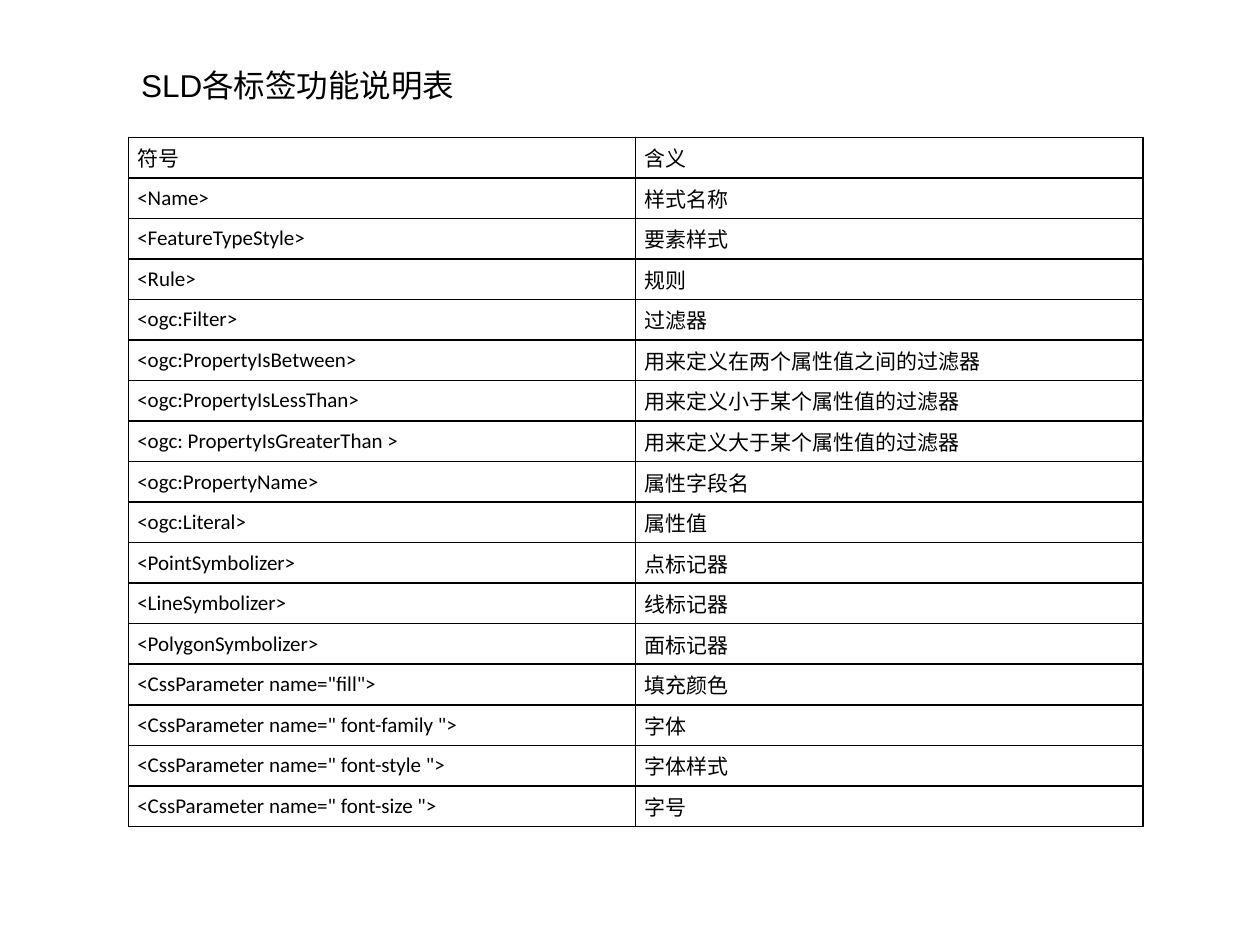
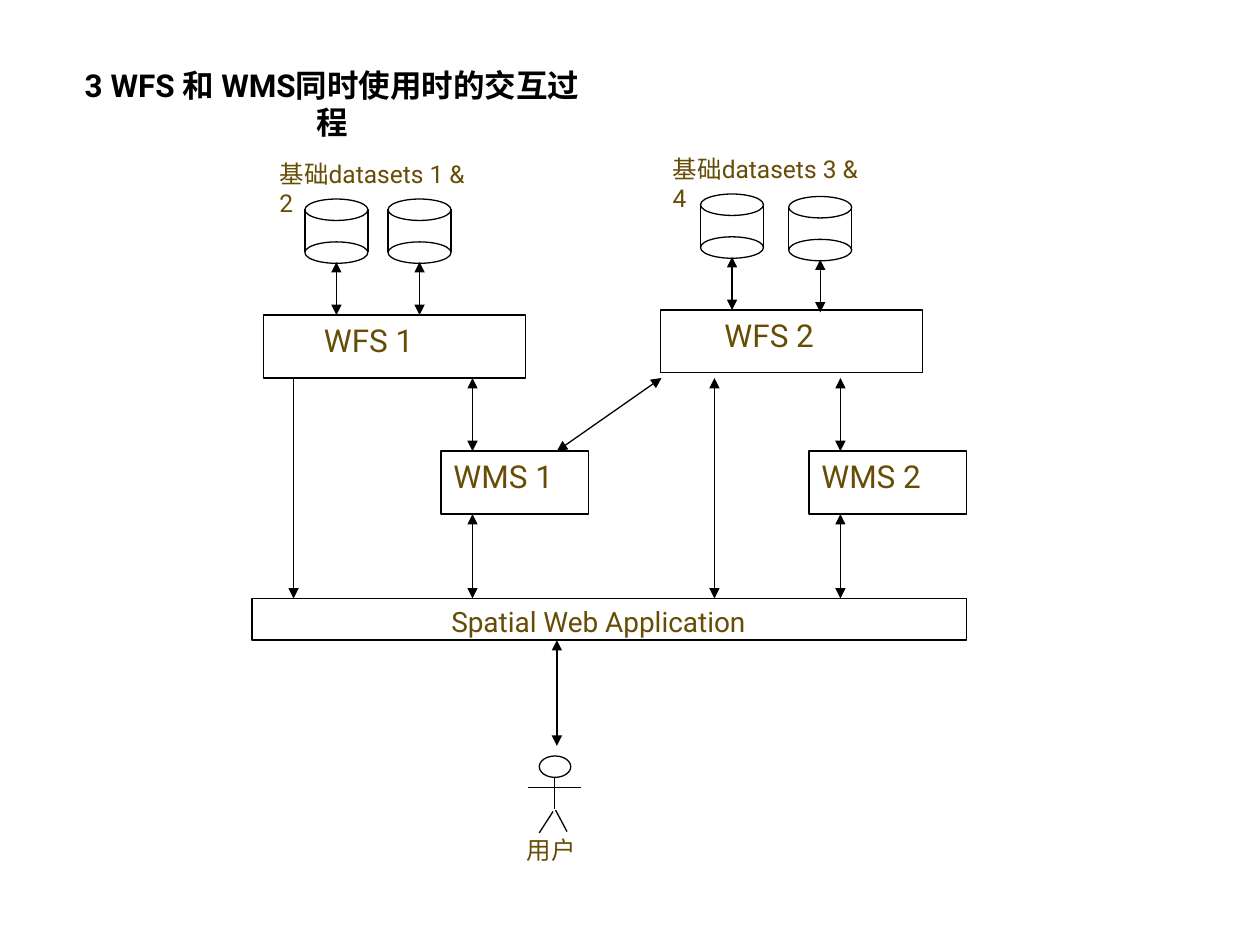
from dataclasses import dataclass

from lxml import etree
from pptx import Presentation
from pptx import util as u
from pptx.dml.color import RGBColor
from pptx.enum import shapes, text
from pptx.oxml import ns

BLACK = RGBColor(0x00, 0x00, 0x00)
BROWN = RGBColor(0x67, 0x4C, 0x05)
LINE_WIDTH = u.Pt(0.75)
BORDER_WIDTH = u.Pt(1)
TITLE_SIZE = 18


@dataclass(frozen=True)
class Box:
    left: float
    top: float
    width: float
    height: float

    def lengths(self) -> tuple:
        return tuple(u.Inches(n) for n in (self.left, self.top, self.width, self.height))


@dataclass(frozen=True)
class Style:
    font: str
    size: float
    color: RGBColor = BROWN
    bold: bool = False
    centered: bool = False
    left_inset: float = 0.1


@dataclass(frozen=True)
class Label:
    wording: str
    box: Box
    style: Style


@dataclass(frozen=True)
class Link:
    start: tuple[float, float]
    end: tuple[float, float]
    head: bool = True
    tail: bool = True


def write(frame, wording: str, style: Style) -> None:
    paragraph = frame.paragraphs[0]
    paragraph.alignment = text.PP_ALIGN.CENTER if style.centered else text.PP_ALIGN.LEFT
    run = paragraph.add_run()
    run.text = wording
    run.font.name = style.font
    run.font.size = u.Pt(style.size)
    run.font.bold = style.bold
    run.font.color.rgb = style.color


def fill_frame(frame, wording: str, style: Style) -> None:
    frame.word_wrap = True
    frame.auto_size = text.MSO_AUTO_SIZE.NONE
    frame.vertical_anchor = text.MSO_ANCHOR.TOP
    frame.margin_left = u.Inches(style.left_inset)
    write(frame, wording, style)


def add_titled_slide(presentation, title: Label):
    slide = presentation.slides.add_slide(presentation.slide_layouts[5])
    shape = slide.shapes.title
    shape.left, shape.top, shape.width, shape.height = title.box.lengths()
    fill_frame(shape.text_frame, title.wording, title.style)
    return slide


def add_label(slide, label: Label) -> None:
    shape = slide.shapes.add_textbox(*label.box.lengths())
    fill_frame(shape.text_frame, label.wording, label.style)


def add_outline(slide, kind: shapes.MSO_SHAPE, box: Box) -> None:
    shape = slide.shapes.add_shape(kind, *box.lengths())
    shape.shadow.inherit = False
    shape.fill.background()
    shape.line.color.rgb = BLACK
    shape.line.width = LINE_WIDTH


def add_link(slide, link: Link) -> None:
    points = [u.Inches(n) for n in (*link.start, *link.end)]
    connector = slide.shapes.add_connector(shapes.MSO_CONNECTOR.STRAIGHT, *points)
    connector.line.color.rgb = BLACK
    connector.line.width = LINE_WIDTH
    properties = connector.element.spPr
    outline = properties.find(ns.qn("a:ln"))
    for tag, wanted in (("a:headEnd", link.head), ("a:tailEnd", link.tail)):
        if wanted:
            etree.SubElement(outline, ns.qn(tag), type="triangle")
    etree.SubElement(properties, ns.qn("a:effectLst"))


def add_line(slide, start: tuple[float, float], end: tuple[float, float]) -> None:
    add_link(slide, Link(start, end, head=False, tail=False))


def add_database(slide, left: float, top: float) -> None:
    for offset in (0, 0.34):
        add_outline(slide, shapes.MSO_SHAPE.OVAL, Box(left, top + offset, 0.5, 0.17))
    for side in (left, left + 0.5):
        add_line(slide, (side, top + 0.08), (side, top + 0.42))
    middle = left + 0.25
    add_link(slide, Link((middle, top + 0.5), (middle, top + 0.92)))


def add_user(slide) -> None:
    add_outline(slide, shapes.MSO_SHAPE.OVAL, Box(4.28, 6, 0.25, 0.17))
    for start, end in (
        ((4.4, 6.17), (4.4, 6.42)),
        ((4.39, 6.44), (4.28, 6.61)),
        ((4.41, 6.43), (4.5, 6.6)),
        ((4.19, 6.25), (4.61, 6.25)),
    ):
        add_line(slide, start, end)


def add_borders(cell) -> None:
    properties = cell._tc.get_or_add_tcPr()
    for side in ("a:lnL", "a:lnR", "a:lnT", "a:lnB"):
        border = etree.SubElement(properties, ns.qn(side), w=str(BORDER_WIDTH))
        fill = etree.SubElement(border, ns.qn("a:solidFill"))
        etree.SubElement(fill, ns.qn("a:srgbClr"), val=str(BLACK))


def add_tag_table(slide, rows: list[tuple[str, str]], box: Box, style: Style) -> None:
    table = slide.shapes.add_table(len(rows), 2, *box.lengths()).table
    table.first_row = False
    table.horz_banding = False
    for row_index, row in enumerate(rows):
        for column_index, wording in enumerate(row):
            cell = table.cell(row_index, column_index)
            cell.margin_left = cell.margin_right = u.Inches(0.07)
            cell.margin_top = cell.margin_bottom = 0
            cell.vertical_anchor = text.MSO_ANCHOR.MIDDLE
            add_borders(cell)
            cell.fill.background()
            write(cell.text_frame, wording, style)


TAGS = [
    ("符号", "含义"),
    ("<Name>", "样式名称"),
    ("<FeatureTypeStyle>", "要素样式"),
    ("<Rule>", "规则"),
    ("<ogc:Filter>", "过滤器"),
    ("<ogc:PropertyIsBetween>", "用来定义在两个属性值之间的过滤器"),
    ("<ogc:PropertyIsLessThan>", "用来定义小于某个属性值的过滤器"),
    ("<ogc: PropertyIsGreaterThan >", "用来定义大于某个属性值的过滤器"),
    ("<ogc:PropertyName>", "属性字段名"),
    ("<ogc:Literal>", "属性值"),
    ("<PointSymbolizer>", "点标记器"),
    ("<LineSymbolizer>", "线标记器"),
    ("<PolygonSymbolizer>", "面标记器"),
    ('<CssParameter name="fill">', "填充颜色"),
    ('<CssParameter name=" font-family ">', "字体"),
    ('<CssParameter name=" font-style ">', "字体样式"),
    ('<CssParameter name=" font-size ">', "字号"),
]

TABLE_TITLE = Label(
    "SLD各标签功能说明表", Box(1.02, 0.47, 3.13, 0.4), Style("Arial", TITLE_SIZE, BLACK)
)
DIAGRAM_TITLE = Label(
    "3 WFS 和 WMS同时使用时的交互过程",
    Box(0.47, 0.47, 4.33, 0.4),
    Style("Roboto", TITLE_SIZE, BLACK, bold=True, centered=True),
)

DATASET = Style("Roboto", 14)
FEATURE_SERVICE = Style("Roboto", 18, left_inset=0.65)
MAP_SERVICE = Style("Roboto", 18)
LABELS = [
    Label("基础datasets 1 & 2", Box(2.12, 1.21, 1.73, 0.34), DATASET),
    Label("基础datasets 3 & 4", Box(5.24, 1.17, 1.74, 0.33), DATASET),
    Label("WFS 1", Box(1.92, 2.5, 1.72, 0.5), FEATURE_SERVICE),
    Label("WFS 2", Box(5.1, 2.46, 1.64, 0.5), FEATURE_SERVICE),
    Label("WMS 1", Box(3.5, 3.58, 1.25, 0.5), MAP_SERVICE),
    Label("WMS 2", Box(6.42, 3.58, 1.25, 0.5), MAP_SERVICE),
    Label("Spatial Web Application", Box(2, 4.75, 5.5, 0.37), Style("Roboto", 16, centered=True)),
    Label("用户", Box(4.08, 6.58, 0.61, 0.33), Style("Arial", 14)),
]
DATABASES = [(2.42, 1.58), (3.08, 1.58), (5.56, 1.54), (6.26, 1.56)]
SERVICE_BOXES = [
    Box(2.09, 2.5, 2.08, 0.5),
    Box(5.24, 2.46, 2.08, 0.5),
    Box(3.5, 3.58, 1.17, 0.5),
    Box(6.42, 3.58, 1.25, 0.5),
    Box(2, 4.75, 5.67, 0.33),
]
LINKS = [
    Link((2.33, 3), (2.33, 4.75), head=False),
    Link((3.75, 3), (3.75, 3.58)),
    Link((3.75, 4.08), (3.75, 4.75)),
    Link((5.25, 3), (4.42, 3.58)),
    Link((5.67, 3), (5.67, 4.75)),
    Link((6.67, 3), (6.67, 3.58)),
    Link((6.67, 4.08), (6.67, 4.75)),
    Link((4.42, 5.08), (4.42, 5.92)),
]


def build_table_slide(presentation) -> None:
    slide = add_titled_slide(presentation, TABLE_TITLE)
    add_tag_table(slide, TAGS, Box(1.02, 1.09, 8.05, 5.47), Style("Calibri", 12, BLACK))


def build_diagram_slide(presentation) -> None:
    slide = add_titled_slide(presentation, DIAGRAM_TITLE)
    for left, top in DATABASES:
        add_database(slide, left, top)
    for box in SERVICE_BOXES:
        add_outline(slide, shapes.MSO_SHAPE.RECTANGLE, box)
    for link in LINKS:
        add_link(slide, link)
    add_user(slide)
    for label in LABELS:
        add_label(slide, label)


def main() -> None:
    presentation = Presentation()
    presentation.slide_width = u.Inches(10)
    presentation.slide_height = u.Inches(7.5)
    build_table_slide(presentation)
    build_diagram_slide(presentation)
    presentation.save("out.pptx")


main()
